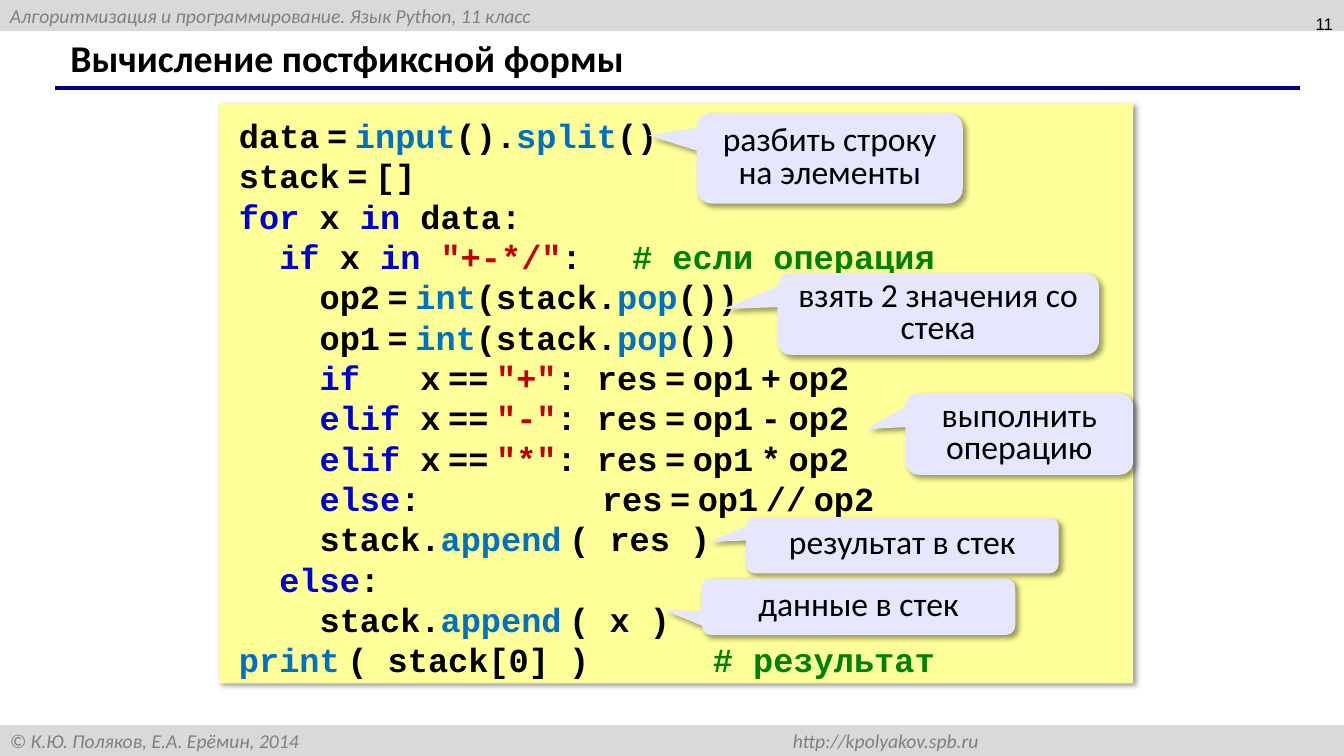
from typing import NamedTuple

from lxml import etree
from pptx import Presentation
from pptx import util as u
from pptx.dml.color import RGBColor
from pptx.enum import shapes, text
from pptx.oxml import ns

PX = 9144  # 100 px to the inch
BLACK = RGBColor(0, 0, 0)
GREY = RGBColor(0x7F, 0x7F, 0x7F)
BAND = RGBColor(0xD9, 0xD9, 0xD9)
NAVY = RGBColor(0, 0, 0x80)
CREAM = RGBColor(0xFF, 0xFF, 0x99)
LILAC = RGBColor(0xE6, 0xE6, 0xFF)
BLUE = RGBColor(0, 0, 0xCC)
SKY = RGBColor(0, 0x70, 0xC0)
RED = RGBColor(0xC0, 0, 0)
GREEN = RGBColor(0, 0x80, 0)
SANS, MONO = "Calibri", "Courier New"
LEFT, MID, RIGHT = text.PP_ALIGN.LEFT, text.PP_ALIGN.CENTER, text.PP_ALIGN.RIGHT


class Box(NamedTuple):
    x: int
    y: int
    w: int
    h: int


class Font(NamedTuple):
    name: str
    size: int
    bold: bool = False
    slant: bool = False


class Run(NamedTuple):
    words: str
    ink: RGBColor = BLACK


class Line(NamedTuple):
    runs: list[Run]
    tab: int = 0


class Note(NamedTuple):
    box: Box
    tail: tuple[float, float]
    words: str


CODE = Font(MONO, 24, bold=True)
GAP = Font(SANS, 24, bold=True)
BAR = Font(SANS, 14, slant=True)


def key(words: str) -> Run:
    return Run(words, BLUE)


def call(words: str) -> Run:
    return Run(words, SKY)


def pop(name: str) -> Line:
    return Line([Run(f"    {name}~=~"), call("int"), Run("(stack."), call("pop"), Run("())")])


def case(word: str, sign: str) -> Line:
    return Line([key(f"    {word:<4}"), Run(" x~==~"), Run(f'"{sign}"', RED),
                 Run(f": res~=~op1~{sign}~op2")])


def push(name: str) -> Line:
    return Line([Run("    stack."), call("append~"), Run(f"( {name} )")])


# A tilde in code stands for a narrow space.
LINES = [
    Line([Run("data~=~"), call("input"), Run("()."), call("split"), Run("()")]),
    Line([Run("stack~=~[]")]),
    Line([key("for"), Run(" x "), key("in"), Run(" data:")]),
    Line([key("  if"), Run(" x "), key("in "), Run('"+-*/"', RED), Run(":\t"),
          Run("# если операция", GREEN)], 390),
    pop("op2"),
    pop("op1"),
    case("if", "+"),
    case("elif", "-"),
    case("elif", "*"),
    Line([key("    else"), Run(":         res~=~op1~//~op2")]),
    push("res"),
    Line([key("  else"), Run(":")]),
    push("x"),
    Line([call("print~"), Run("( stack[0] )\t"), Run("# результат", GREEN)], 470),
]

NOTES = [
    Note(Box(691, 112, 264, 90), (-0.68, -0.25), "разбить строку на элементы"),
    Note(Box(771, 271, 319, 81), (-0.67, -0.06), "взять 2 значения со стека"),
    Note(Box(898, 390, 226, 81), (-0.67, -0.06), "выполнить операцию"),
    Note(Box(740, 513, 310, 56), (-0.62, -0.06), "результат в стек"),
    Note(Box(696, 574, 311, 56), (-0.62, 0.06), "данные в стек"),
]


def add_run(para, words: str, font: Font, ink: RGBColor) -> None:
    run = para.add_run()
    run.text = words
    run.font.name, run.font.size = font.name, u.Pt(font.size)
    run.font.bold, run.font.italic = font.bold, font.slant
    run.font.color.rgb = ink


def add_code(para, run: Run) -> None:
    """Add a code run, with each tilde set as a narrow space."""
    for num, part in enumerate(run.words.split("~")):
        if num:
            add_run(para, " ", GAP, run.ink)
        if part:
            add_run(para, part, CODE, run.ink)


def set_tab(para, pos: int, side: str) -> None:
    tabs = etree.SubElement(para._p.get_or_add_pPr(), ns.qn("a:tabLst"))
    etree.SubElement(tabs, ns.qn("a:tab"), pos=str(pos * PX), algn=side)


def add_shade(shape) -> None:
    effects = shape._element.spPr.find(ns.qn("a:effectLst"))
    shade = etree.SubElement(effects, ns.qn("a:outerShdw"), blurRad=str(u.Pt(4)),
                             dist=str(u.Pt(3)), dir="2700000", algn="tl", rotWithShape="0")
    ink = etree.SubElement(shade, ns.qn("a:srgbClr"), val="000000")
    etree.SubElement(ink, ns.qn("a:alpha"), val="40000")


def add_box(slide, kind: shapes.MSO_SHAPE, box: Box, fill: RGBColor):
    shape = slide.shapes.add_shape(kind, *(n * PX for n in box))
    shape.shadow.inherit = False
    shape.fill.solid()
    shape.fill.fore_color.rgb = fill
    shape.line.fill.background()
    return shape


def set_text(shape, words: str, font: Font, ink: RGBColor, align=LEFT, space: float = 1.0):
    frame = shape.text_frame
    frame.word_wrap = True
    frame.vertical_anchor = text.MSO_ANCHOR.MIDDLE
    para = frame.paragraphs[0]
    para.alignment, para.line_spacing = align, space
    add_run(para, words, font, ink)
    return para


def add_label(slide, box: Box, words: str, font: Font, align=LEFT, space: float = 1.0) -> None:
    label = slide.shapes.add_textbox(*(n * PX for n in box))
    set_text(label, words, font, BLACK, align, space)


def add_rule(slide) -> None:
    rule = slide.shapes.add_connector(shapes.MSO_CONNECTOR.STRAIGHT,
                                      55 * PX, 87 * PX, 1289 * PX, 87 * PX)
    rule.line.color.rgb, rule.line.width = NAVY, u.Pt(3)
    etree.SubElement(rule._element.spPr, ns.qn("a:effectLst"))


def add_list(slide) -> None:
    """Draw the program on its cream panel."""
    panel = add_box(slide, shapes.MSO_SHAPE.RECTANGLE, Box(217, 102, 907, 576), CREAM)
    add_shade(panel)
    frame = panel.text_frame
    frame.word_wrap = True
    frame.vertical_anchor = text.MSO_ANCHOR.MIDDLE
    frame.margin_left, frame.margin_top = 20 * PX, 13 * PX
    for num, line in enumerate(LINES):
        para = frame.add_paragraph() if num else frame.paragraphs[0]
        para.alignment, para.line_spacing = LEFT, u.Pt(28.8)
        if line.tab:
            set_tab(para, line.tab, "l")
        for run in line.runs:
            add_code(para, run)


def add_note(slide, note: Note) -> None:
    shape = add_box(slide, shapes.MSO_SHAPE.ROUNDED_RECTANGULAR_CALLOUT, note.box, LILAC)
    shape.adjustments[0], shape.adjustments[1] = note.tail
    add_shade(shape)
    set_text(shape, note.words, Font(SANS, 24), BLACK, MID, 0.8)


def main() -> None:
    deck = Presentation()
    deck.slide_width, deck.slide_height = u.Inches(13.33), u.Inches(7.5)
    slide = deck.slides.add_slide(deck.slide_layouts[6])
    head, foot = (add_box(slide, shapes.MSO_SHAPE.RECTANGLE, Box(0, y, 1333, 31), BAND)
                  for y in (0, 719))
    set_text(head, "Алгоритмизация и программирование. Язык Python, 11 класс", BAR, GREY)
    para = set_text(foot, "© К.Ю. Поляков, Е.А. Ерёмин, 2014\thttp://kpolyakov.spb.ru", BAR, GREY)
    set_tab(para, 961, "r")
    add_rule(slide)
    add_label(slide, Box(60, 34, 916, 52), "Вычисление постфиксной формы",
              Font(SANS, 27, bold=True), space=0.9)
    add_label(slide, Box(1021, -2, 311, 52), "11", Font("Arial", 12), RIGHT)
    add_list(slide)
    for note in NOTES:
        add_note(slide, note)
    deck.save("out.pptx")


if __name__ == "__main__":
    main()
